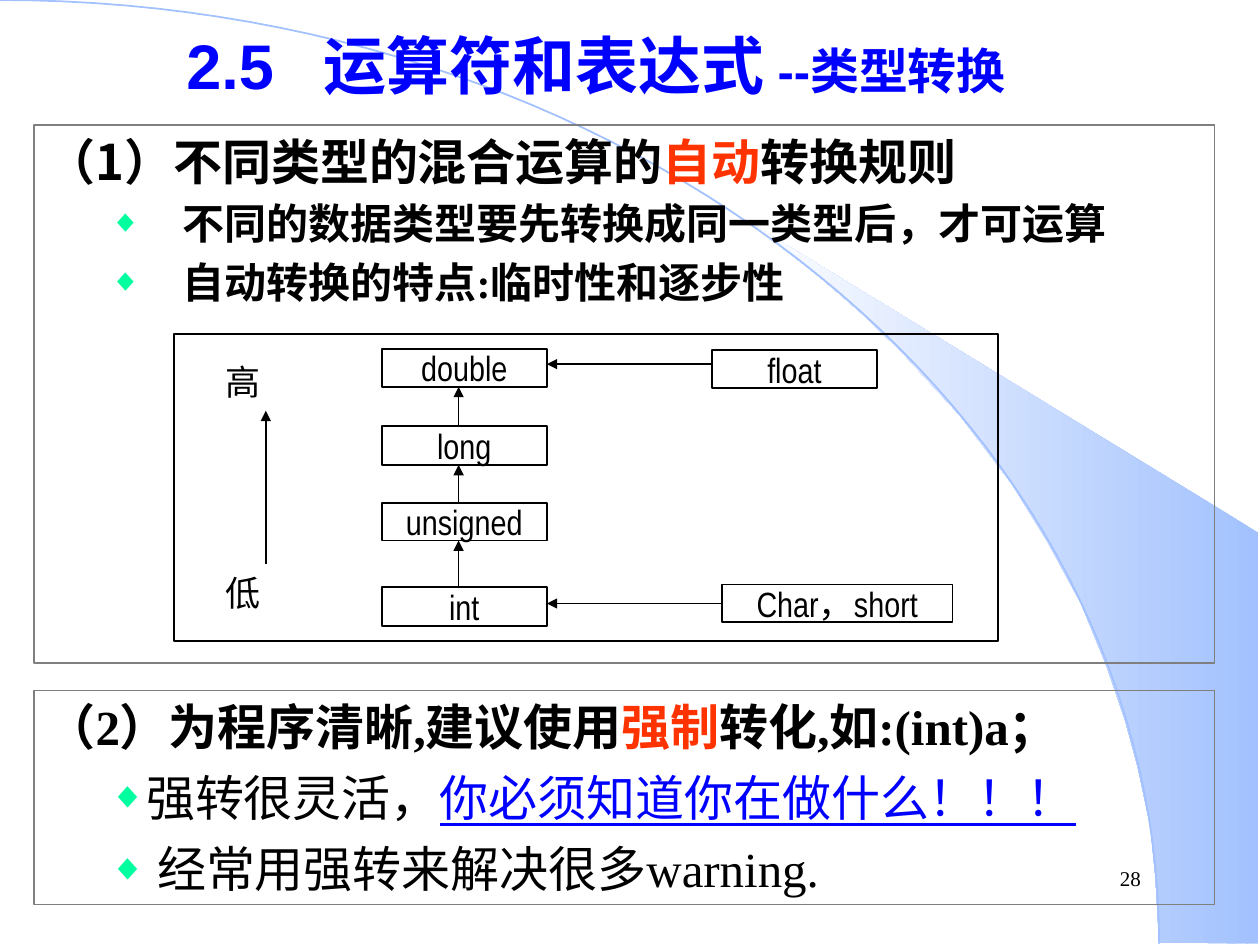
from dataclasses import dataclass
from typing import NamedTuple

from lxml import etree
from pptx import Presentation
from pptx.dml.color import RGBColor
from pptx.enum.shapes import MSO_CONNECTOR, MSO_SHAPE
from pptx.enum.text import MSO_ANCHOR, MSO_AUTO_SIZE, PP_ALIGN
from pptx.oxml.ns import qn
from pptx.util import Inches, Pt

STRAIGHT = MSO_CONNECTOR.STRAIGHT
RECTANGLE = MSO_SHAPE.RECTANGLE
TOP, MIDDLE, BOTTOM = MSO_ANCHOR.TOP, MSO_ANCHOR.MIDDLE, MSO_ANCHOR.BOTTOM
LEFT, CENTER = PP_ALIGN.LEFT, PP_ALIGN.CENTER
NO_AUTOFIT = MSO_AUTO_SIZE.NONE
LEFT_SIDE = 1


@dataclass(frozen=True)
class Theme:
    black: str = "000000"
    blue: str = "0000FF"
    red: str = "FF3300"
    white: str = "FFFFFF"
    gray: str = "7F7F7F"
    sky: str = "A2C1FE"
    bullet: str = "00FF9F"
    title_size: int = 36
    gap_size: int = 32
    heading_size: int = 28
    point_size: int = 24
    diagram_size: int = 20
    number_size: int = 12
    sans: str = "Arial"
    narrow: str = "Arial Narrow"
    serif: str = "Times New Roman"
    chinese: str = "Noto Sans CJK SC"


THEME = Theme()


class Frame(NamedTuple):
    left: float
    top: float
    width: float
    height: float


class Node(NamedTuple):
    text: str
    frame: Frame


class Arrow(NamedTuple):
    begin: tuple[float, float]
    end: tuple[float, float]


class Point(NamedTuple):
    spans: list[tuple[str, dict]]
    margin: float
    indent: float
    before: float


NODE_LEFT, NODE_WIDTH, ARROW_X = 3.03, 1.31, 3.64
NODE_RIGHT = NODE_LEFT + NODE_WIDTH
NODES = [
    Node("double", Frame(NODE_LEFT, 2.77, NODE_WIDTH, 0.3)),
    Node("long", Frame(NODE_LEFT, 3.38, NODE_WIDTH, 0.31)),
    Node("unsigned", Frame(NODE_LEFT, 3.99, NODE_WIDTH, 0.3)),
    Node("int", Frame(NODE_LEFT, 4.66, NODE_WIDTH, 0.31)),
    Node("float", Frame(5.65, 2.78, NODE_WIDTH, 0.3)),
    Node("Char，short", Frame(5.73, 4.64, 1.83, 0.3)),
]
LABELS = [
    Node("高", Frame(1.69, 2.83, 0.5, 0.4)),
    Node("低", Frame(1.69, 4.5, 0.5, 0.4)),
]
SWEEP = [
    (9.2, 7.48), (9.99, 7.49), (9.99, 4.23), (5.89, 1.73), (6.24, 1.99),
    (6.53, 2.22), (6.85, 2.5), (7.16, 2.8), (7.62, 3.3), (8.03, 3.84),
    (8.32, 4.31), (8.58, 4.79), (8.78, 5.28), (8.93, 5.72), (9.03, 6.09),
    (9.13, 6.56), (9.17, 6.96),
]


def rgb(color: str) -> RGBColor:
    return RGBColor.from_string(color)


def add_text(para, text: str, *, size: int, font: str, color: str = THEME.black,
             bold: bool = False, underline: bool = False) -> None:
    span = para.add_run()
    span.text = text
    span.font.size = Pt(size)
    span.font.name = font
    span.font.bold = bold
    span.font.underline = underline
    span.font.color.rgb = rgb(color)
    etree.SubElement(span.font._element, qn("a:ea"), typeface=THEME.chinese)


def place(box, frame: Frame) -> None:
    box.left, box.top, box.width, box.height = map(Inches, frame)


def set_outline(box, color: str, width: float) -> None:
    box.line.color.rgb = rgb(color)
    box.line.width = Pt(width)


def set_frame(box, anchor, wrap: bool):
    text_frame = box.text_frame
    text_frame.auto_size = NO_AUTOFIT
    text_frame.word_wrap = wrap
    text_frame.vertical_anchor = anchor
    return text_frame


def add_rectangle(slide, frame: Frame):
    box = slide.shapes.add_shape(RECTANGLE, *map(Inches, frame))
    box.shadow.inherit = False
    box.fill.background()
    set_outline(box, THEME.black, 1)
    return box


def add_node(slide, node: Node):
    box = add_rectangle(slide, node.frame)
    para = set_frame(box, MIDDLE, False).paragraphs[0]
    para.alignment = CENTER
    add_text(para, node.text, size=THEME.diagram_size, font=THEME.narrow)
    return box


def add_label(slide, label: Node, size: int, font: str, anchor=MIDDLE) -> None:
    box = slide.shapes.add_textbox(*map(Inches, label.frame))
    para = set_frame(box, anchor, True).paragraphs[0]
    add_text(para, label.text, size=size, font=font)


def add_arrow(slide, arrow: Arrow):
    line = slide.shapes.add_connector(STRAIGHT, *map(Inches, arrow.begin + arrow.end))
    set_outline(line, THEME.black, 1)
    properties = line.element.spPr
    etree.SubElement(properties.find(qn("a:ln")), qn("a:tailEnd"), type="triangle")
    etree.SubElement(properties, qn("a:effectLst"))
    return line


def add_outline(slide, points: list[tuple[float, float]], close: bool, layer: int):
    corners = [(Inches(x), Inches(y)) for x, y in points]
    builder = slide.shapes.build_freeform(*corners[0])
    builder.add_line_segments(corners[1:], close=close)
    shape = builder.convert_to_shape()
    shape.shadow.inherit = False
    slide.shapes.element.insert(2 + layer, shape.element)
    return shape


def arc_point(t: float) -> tuple[float, float]:
    u = 1 - t
    return (3 * u * u * t * 5.08 + (3 * u * t * t + t ** 3) * 9.2,
            3 * u * t * t * 3.35 + t ** 3 * 7.49)


def add_backdrop(slide) -> None:
    sweep = add_outline(slide, SWEEP, True, 0)
    sweep.fill.gradient()
    sweep.fill.gradient_angle = 180
    for stop, color in zip(sweep.fill.gradient_stops, (THEME.sky, THEME.white)):
        stop.color.rgb = rgb(color)
    sweep.line.fill.background()
    arc = add_outline(slide, [arc_point(step / 60) for step in range(61)], False, 1)
    arc.fill.background()
    set_outline(arc, THEME.sky, 1)


def fill_list(box, frame: Frame, line_width: float, points: list[Point]) -> None:
    place(box, frame)
    set_outline(box, THEME.gray, line_width)
    text_frame = set_frame(box, TOP, True)
    for index, point in enumerate(points):
        para = text_frame.add_paragraph() if index else text_frame.paragraphs[0]
        properties = para._p.get_or_add_pPr()
        properties.set("marL", str(Inches(point.margin)))
        properties.set("indent", str(Inches(point.indent)))
        if index:
            para.level = 1
            color = etree.SubElement(properties, qn("a:buClr"))
            etree.SubElement(color, qn("a:srgbClr"), val=THEME.bullet)
            etree.SubElement(properties, qn("a:buSzPct"), val="75000")
            etree.SubElement(properties, qn("a:buChar"), char="◆")
        else:
            etree.SubElement(properties, qn("a:buNone"))
        para.alignment = LEFT
        para.space_before = Pt(point.before)
        for text, style in point.spans:
            add_text(para, text, **style)


def fill_title(box) -> None:
    place(box, Frame(1.38, 0.36, 7.73, 0.5))
    para = set_frame(box, BOTTOM, True).paragraphs[0]
    tabs = etree.SubElement(para._p.get_or_add_pPr(), qn("a:tabLst"))
    etree.SubElement(tabs, qn("a:tab"), pos=str(Inches(1.09)), algn="l")
    para.alignment = LEFT
    for text, size in (("2.5\t运算符和表达式", THEME.title_size), (" ", THEME.gap_size),
                       ("--类型转换", THEME.heading_size)):
        add_text(para, text, size=size, font=THEME.sans, color=THEME.blue, bold=True)


def add_diagram(slide) -> None:
    add_rectangle(slide, Frame(1.38, 2.65, 6.54, 2.44))
    for label in LABELS:
        add_label(slide, label, THEME.diagram_size, THEME.narrow)
    boxes = {node.text: add_node(slide, node) for node in NODES}
    for upper, lower in zip(NODES[:3], NODES[1:4]):
        bottom = upper.frame.top + upper.frame.height
        add_arrow(slide, Arrow((ARROW_X, lower.frame.top), (ARROW_X, bottom)))
    add_arrow(slide, Arrow((2.11, 4.48), (2.11, 3.26)))
    add_arrow(slide, Arrow((5.65, 2.89), (NODE_RIGHT, 2.89)))
    short_arrow = add_arrow(slide, Arrow((5.73, 4.79), (NODE_RIGHT, 4.79)))
    short_arrow.begin_connect(boxes["Char，short"], LEFT_SIDE)


def main() -> None:
    deck = Presentation()
    deck.slide_width, deck.slide_height = Inches(10), Inches(7.5)
    page = deck.slides.add_slide(deck.slide_layouts[3])
    title, automatic, forced = page.placeholders
    add_backdrop(page)
    fill_title(title)

    heading = dict(size=THEME.heading_size, font=THEME.chinese, bold=True)
    detail = dict(size=THEME.point_size, font=THEME.serif, bold=True)
    fill_list(automatic, Frame(0.27, 0.99, 9.37, 4.27), 1, [
        Point([("（1）不同类型的混合运算的", heading), ("自动", heading | {"color": THEME.red}),
               ("转换规则", heading)], 0, 0, 0),
        Point([("不同的数据类型要先转换成同一类型后，才可运算", detail)], 1.08, -0.58, 4.5),
        Point([("自动转换的特点:临时性和逐步性", detail)], 1.08, -0.58, 4.5),
    ])

    plain = dict(size=THEME.heading_size, font=THEME.serif)
    strong = plain | {"bold": True}
    warning = plain | {"color": THEME.blue, "underline": True}
    fill_list(forced, Frame(0.27, 5.48, 9.37, 1.7), 0.75, [
        Point([("（2）为程序清晰,建议使用", strong), ("强制", strong | {"color": THEME.red}),
               ("转化,如:(int)a；", strong)], 0, 0, 0),
        Point([("强转很灵活，", plain), ("你必须知道你在做什么！！！", warning)], 0.5, 0, 7),
        Point([(" 经常用强转来解决很多warning.", plain)], 0.5, 0, 7),
    ])

    add_diagram(page)
    add_label(page, Node("28", Frame(8.79, 6.82, 0.9, 0.3)),
              THEME.number_size, THEME.serif, TOP)
    deck.save("out.pptx")


if __name__ == "__main__":
    main()
